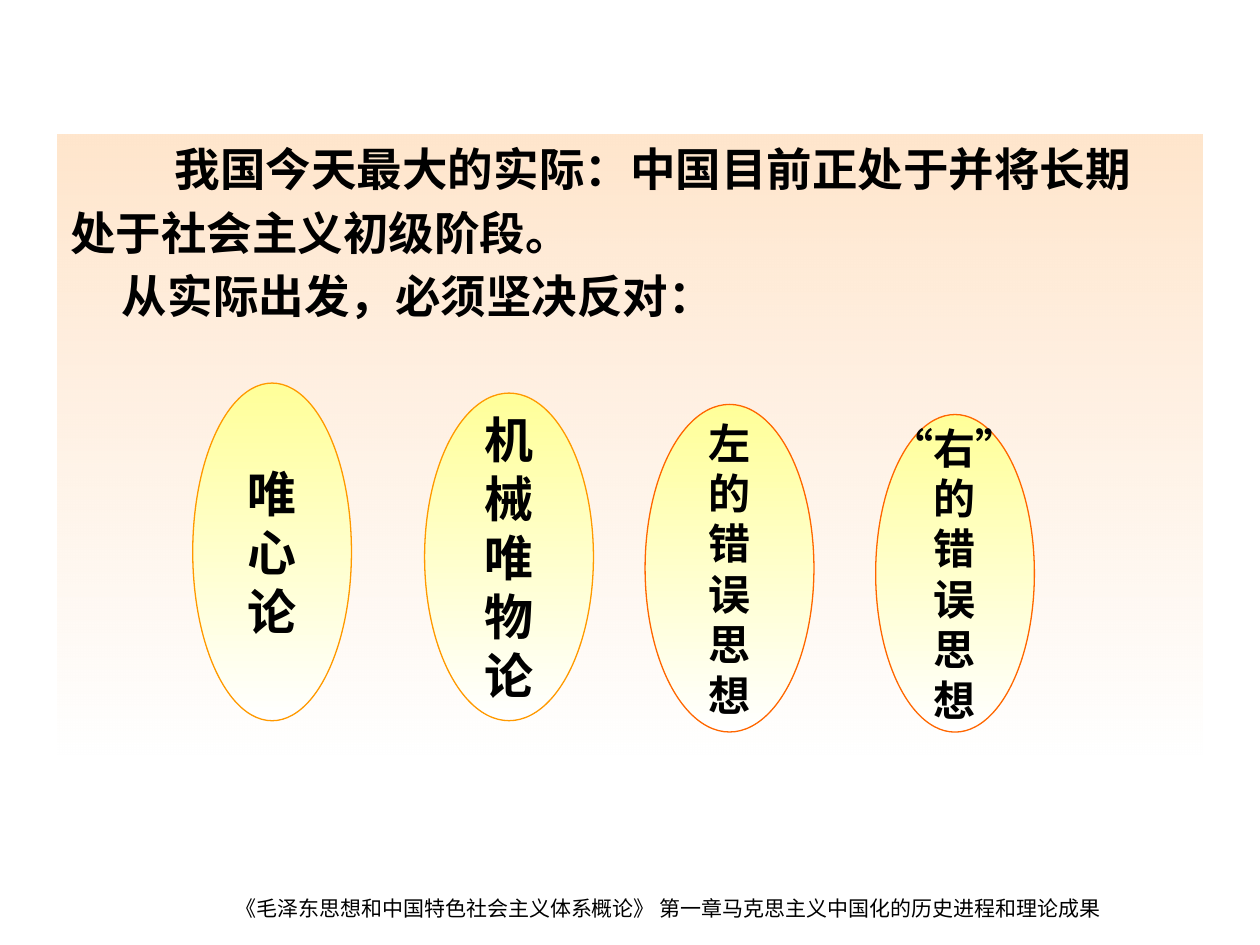
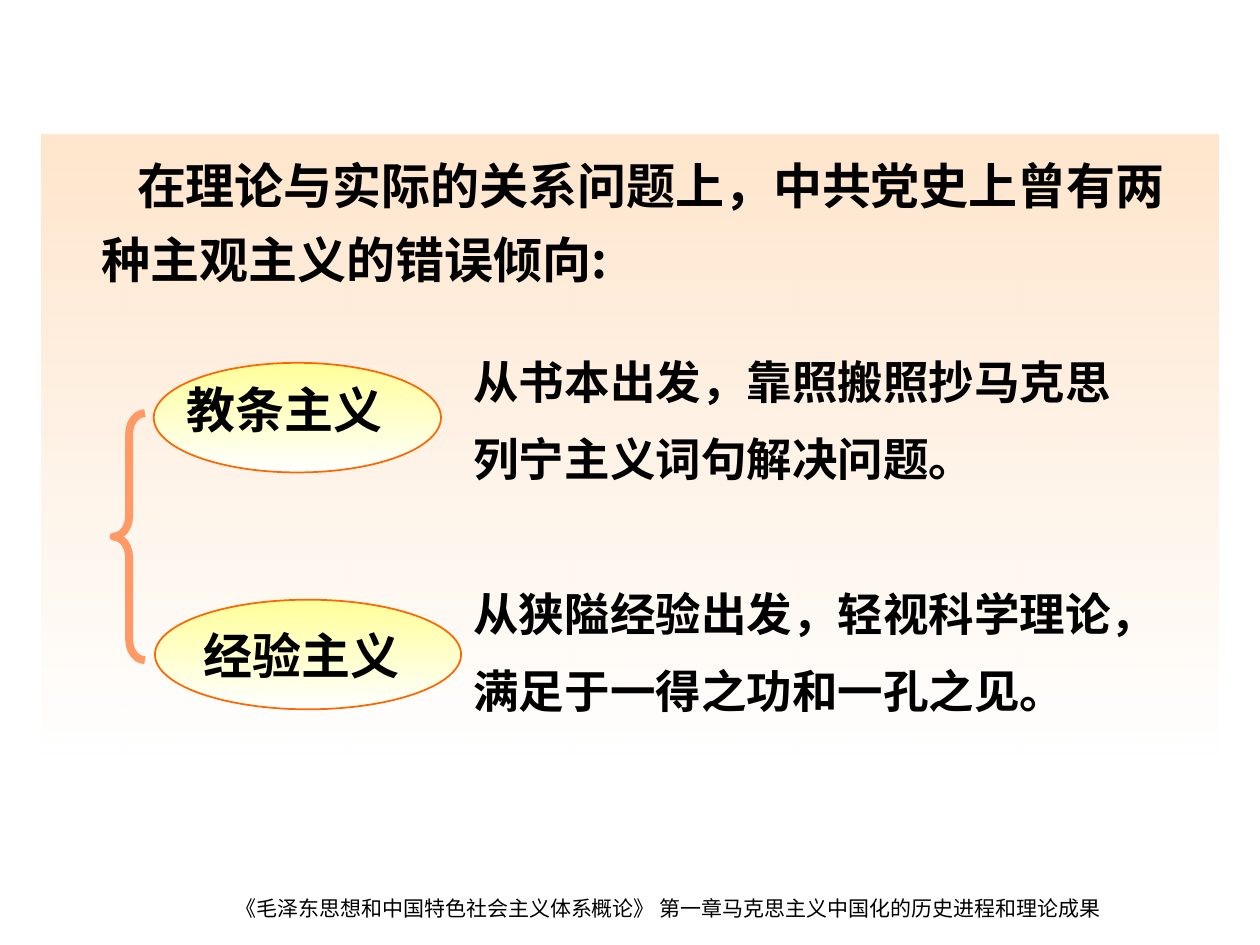
from lxml import etree
from pptx import Presentation
from pptx import util as u
from pptx.dml.color import RGBColor
from pptx.enum import shapes, text
from pptx.oxml.ns import qn

HEADING_FONT, BODY_FONT = "Noto Sans CJK SC", "Arial"
BLACK, WHITE, PEACH, YELLOW = "000000", "FFFFFF", "FFCC99", "FFFF99"
AMBER, ORANGE, CORAL = "FF9900", "FF6600", "FF9966"
FOOTER = "《毛泽东思想和中国特色社会主义体系概论》 第一章马克思主义中国化的历史进程和理论成果"


def color(hex_string):
    """Return the colour for a hex string."""
    return RGBColor.from_string(hex_string)


class Deck:
    """Hold the shared style and the current slide."""

    def __init__(self):
        """Start an empty 10 by 7.5 inch presentation."""
        self.presentation = Presentation()
        self.presentation.slide_width = u.Inches(10)
        self.presentation.slide_height = u.Inches(7.5)
        self.slide = None

    def add_slide(self):
        """Open a blank slide with the footer."""
        self.slide = self.presentation.slides.add_slide(self.presentation.slide_layouts[6])
        self.textbox((1.77, 7.06, 7.24, 0.44), [FOOTER], 12, bold=False)

    def set_text(self, shape, lines, size, font=BODY_FONT, bold=True, align="LEFT",
                 before=0, spacing=1.0, wrap=True):
        """Set one paragraph per line and return the paragraphs."""
        frame = shape.text_frame
        frame.word_wrap = wrap
        frame.text = "\n".join(lines)
        for paragraph in frame.paragraphs:
            paragraph.alignment = text.PP_ALIGN[align]
            paragraph.space_before = u.Pt(before)
            paragraph.line_spacing = spacing
            paragraph.font.name = font
            paragraph.font.size = u.Pt(size)
            paragraph.font.bold = bold
            paragraph.font.color.rgb = color(BLACK)
        return frame.paragraphs

    def indent(self, paragraph, first, margin=0):
        """Set the left margin and the first-line indent in inches."""
        properties = paragraph._p.get_or_add_pPr()
        properties.set("marL", str(u.Inches(margin)))
        properties.set("indent", str(u.Inches(first)))

    def textbox(self, box, lines, size, **style):
        """Add a text box."""
        shape = self.slide.shapes.add_textbox(*map(u.Inches, box))
        return self.set_text(shape, lines, size, **style)

    def shape(self, kind, box):
        """Add a preset shape without shadow."""
        shape = self.slide.shapes.add_shape(kind, *map(u.Inches, box))
        shape.shadow.inherit = False
        return shape

    def gradient(self, shape, top, opacities=()):
        """Fade the fill downward from a colour to white."""
        shape.fill.gradient()
        shape.fill.gradient_angle = 270
        for stop, value in zip(shape.fill.gradient_stops, (top, WHITE)):
            stop.color.rgb = color(value)
        stops = shape.element.spPr.iter(qn("a:srgbClr"))
        for node, percent in zip(stops, opacities):
            etree.SubElement(node, qn("a:alpha")).set("val", str(percent * 1000))

    def panel(self, left, lines, size, **style):
        """Add the centred peach panel with its heading text."""
        panel = self.shape(shapes.MSO_SHAPE.RECTANGLE, (left, 1.07, 10 - 2 * left, 4.92))
        self.gradient(panel, PEACH, (49, 48))
        panel.line.fill.background()
        panel.text_frame.vertical_anchor = text.MSO_ANCHOR.TOP
        return self.set_text(panel, lines, size, font=HEADING_FONT, before=size / 5, **style)

    def oval(self, box, outline, width):
        """Add a yellow oval."""
        oval = self.shape(shapes.MSO_SHAPE.OVAL, box)
        self.gradient(oval, YELLOW)
        oval.line.color.rgb = color(outline)
        oval.line.width = u.Pt(width)
        oval.text_frame.vertical_anchor = text.MSO_ANCHOR.MIDDLE
        return oval

    def brace(self, box):
        """Add a left brace."""
        brace = self.shape(shapes.MSO_SHAPE.LEFT_BRACE, box)
        brace.adjustments[0] = 0.65
        brace.fill.background()
        brace.line.color.rgb = color(CORAL)
        brace.line.width = u.Pt(4.5)


def reality_slide(deck):
    """Build the slide on the four errors to oppose."""
    deck.add_slide()
    paragraphs = deck.panel(0.46, ["我国今天最大的实际：中国目前正处于并将长期",
                                   "处于社会主义初级阶段。",
                                   "从实际出发，必须坚决反对："], 26)
    for paragraph, first in zip(paragraphs, (0.83, 0, 0.41)):
        deck.indent(paragraph, first)
    errors = [
        ((1.53, 3.04, 1.26, 2.68), AMBER, 28, "唯心论"),
        ((3.37, 3.12, 1.34, 2.6), AMBER, 28, "机械唯物论"),
        ((5.12, 3.21, 1.34, 2.6), ORANGE, 24, "左的错误思想"),
        ((6.95, 3.29, 1.26, 2.52), ORANGE, 24, ["“右”", *"的错误思想"]),
    ]
    for box, outline, size, characters in errors:
        oval = deck.oval(box, outline, 0.75)
        deck.set_text(oval, characters, size, align="CENTER", wrap=False)


def subjectivism_slide(deck):
    """Build the slide on the two subjectivist tendencies."""
    deck.add_slide()
    heading, = deck.panel(0.33, ["在理论与实际的关系问题上，中共党史上曾有两种主观主义的错误倾向:"],
                          28, spacing=1.25)
    deck.indent(heading, 0.28, 0.38)
    deck.oval((1.22, 2.88, 2.28, 0.87), ORANGE, 1)
    empiricism = deck.oval((1.23, 4.76, 2.43, 0.87), ORANGE, 1)
    empiricism.text_frame.margin_right = u.Inches(0.2)
    deck.set_text(empiricism, ["经验主义"], 28, align="CENTER", wrap=False)
    deck.textbox((1.38, 2.96, 1.76, 0.57), ["教条主义"], 28)
    explanations = deck.textbox((3.66, 2.65, 6.2, 3.16),
                                ["从书本出发，靠照搬照抄马克思", "列宁主义词句解决问题。",
                                 "从狭隘经验出发，轻视科学理论，", "满足于一得之功和一孔之见。"],
                                26, before=5.2, spacing=1.25)
    explanations[2].space_before = u.Pt(49.4)
    deck.brace((0.9, 3.28, 0.25, 1.96))


def main():
    """Build and save the presentation."""
    deck = Deck()
    reality_slide(deck)
    subjectivism_slide(deck)
    deck.presentation.save("out.pptx")


if __name__ == "__main__":
    main()
